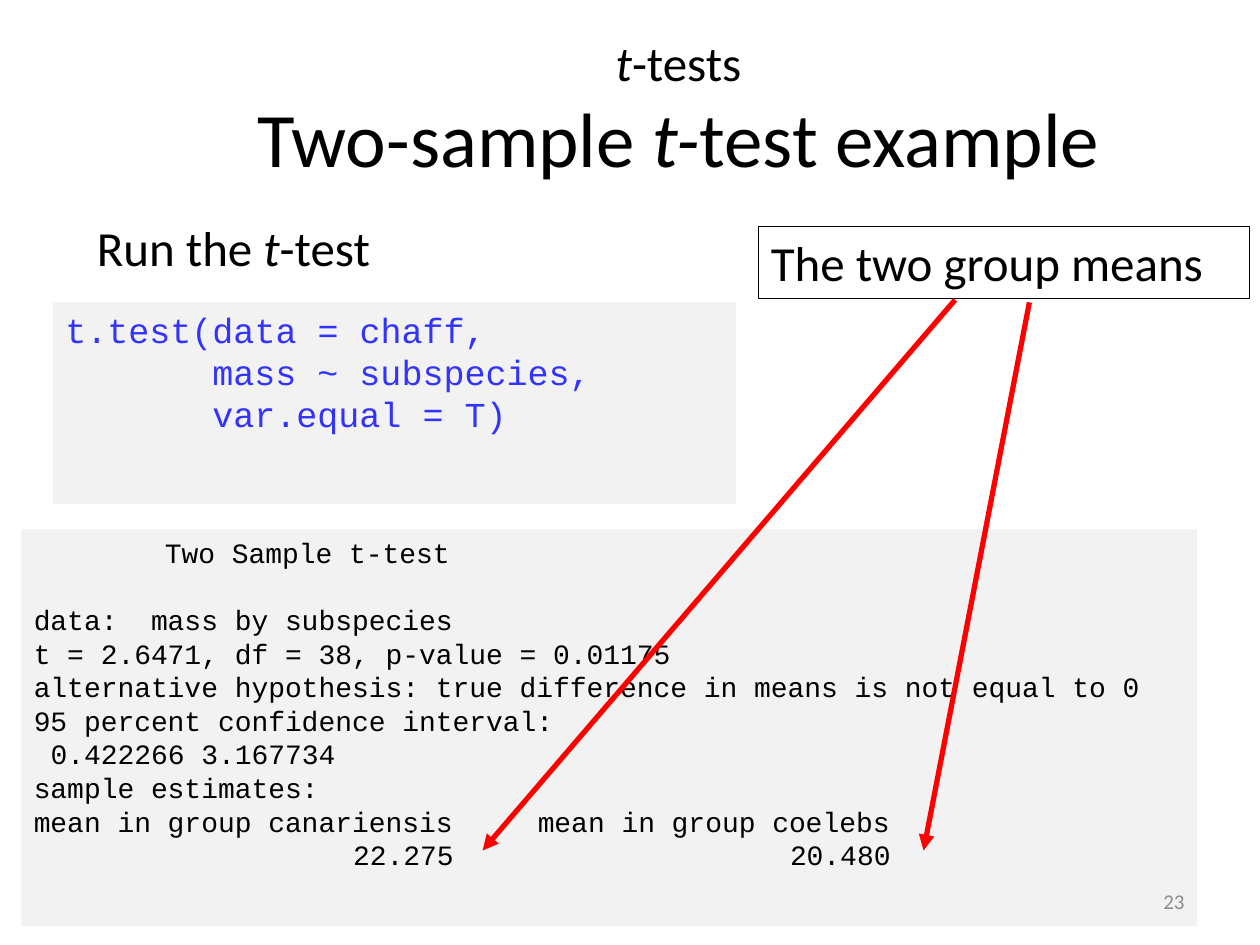
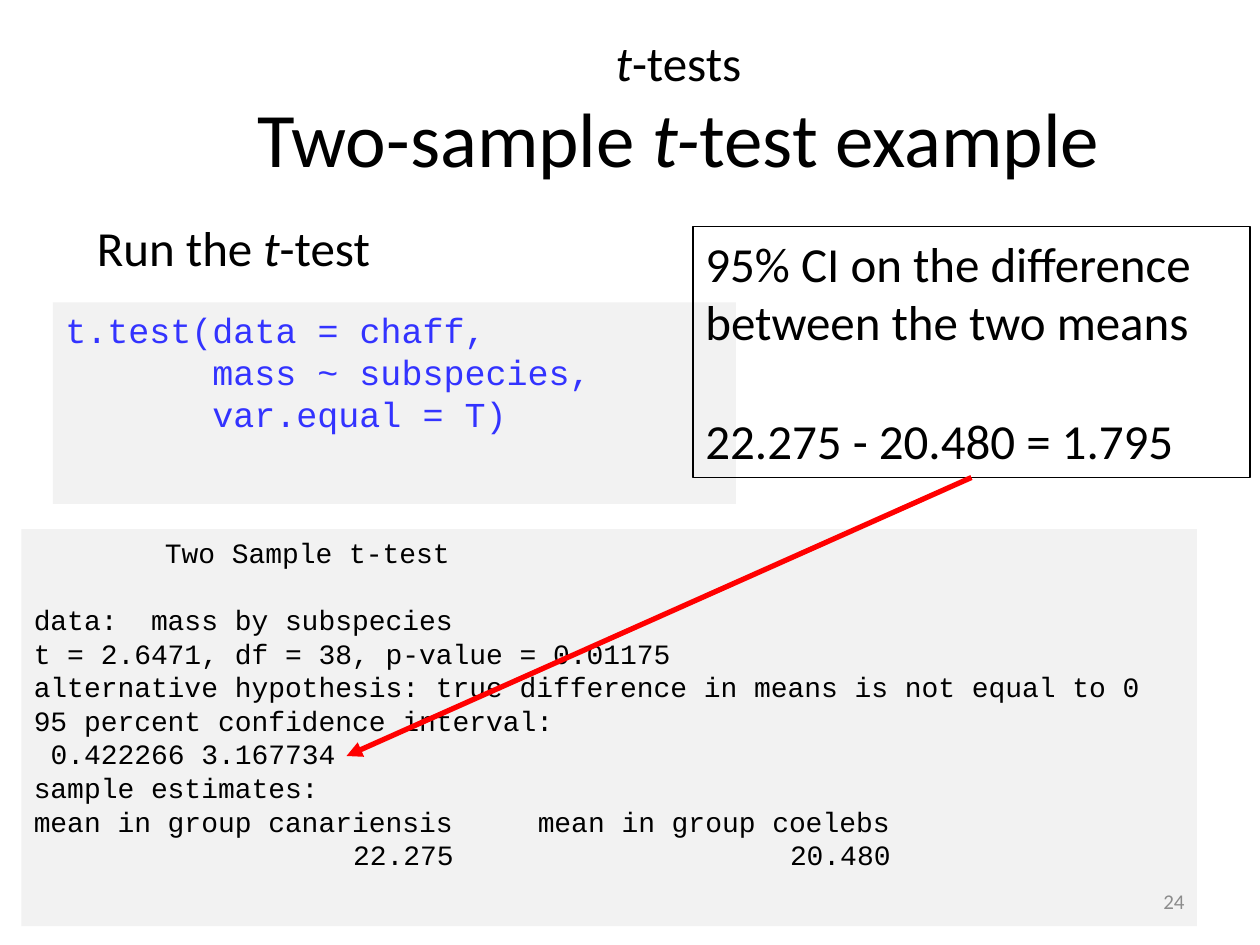
from lxml.etree import SubElement
from pptx import Presentation
from pptx.dml.color import RGBColor
from pptx.enum.shapes import MSO_CONNECTOR, MSO_SHAPE
from pptx.enum.text import MSO_ANCHOR, PP_ALIGN
from pptx.oxml.ns import qn
from pptx.util import Inches, Pt

COLOURS = {"ink": "000000", "code": "3333FF", "panel": "F2F2F2",
           "number": "8C8C8C", "arrow": "FF0000"}
BODY, MONO = "Calibri", "Courier New"
OUTPUT_SIZE, CODE_SIZE = 16, 20


def columns(count, size):
    return count * size * 0.6 / 72


class Deck:
    def __init__(self):
        self.prs = Presentation()
        self.prs.slide_width, self.prs.slide_height = Inches(10), Inches(7.5)
        self.slide = None

    def colour(self, name):
        return RGBColor.from_string(COLOURS[name])

    def new_slide(self):
        self.slide = self.prs.slides.add_slide(self.prs.slide_layouts[5])

    def run(self, paragraph, text, size, font=BODY, colour="ink", italic=False):
        run = paragraph.add_run()
        run.text = text
        run.font.size, run.font.name, run.font.italic = Pt(size), font, italic
        run.font.color.rgb = self.colour(colour)

    def title(self, lines):
        title = self.slide.shapes.title
        title.left, title.top = Inches(1.67), Inches(0.2)
        title.width, title.height = Inches(7.43), Inches(1.31)
        title.text_frame.vertical_anchor = MSO_ANCHOR.MIDDLE
        paragraph = title.text_frame.paragraphs[0]
        paragraph.alignment = PP_ALIGN.CENTER
        for index, (size, parts) in enumerate(lines):
            if index:
                paragraph.add_line_break()
            for text, italic in parts:
                self.run(paragraph, text, size, italic=italic)

    def text(self, box, parts, size, colour="ink", align=PP_ALIGN.LEFT,
             anchor=MSO_ANCHOR.TOP):
        frame = self.slide.shapes.add_textbox(*map(Inches, box)).text_frame
        frame.word_wrap = True
        frame.vertical_anchor = anchor
        frame.paragraphs[0].alignment = align
        for text, italic in parts:
            self.run(frame.paragraphs[0], text, size, colour=colour, italic=italic)

    def panel(self, box, fill=None, line=None):
        panel = self.slide.shapes.add_shape(MSO_SHAPE.RECTANGLE, *map(Inches, box))
        panel.shadow.inherit = False
        if fill:
            panel.fill.solid()
            panel.fill.fore_color.rgb = self.colour(fill)
        else:
            panel.fill.background()
        if line:
            panel.line.color.rgb = self.colour(line)
            panel.line.width = Pt(0.75)
        else:
            panel.line.fill.background()
        panel.text_frame.word_wrap = True
        panel.text_frame.vertical_anchor = MSO_ANCHOR.TOP
        return panel.text_frame

    def paragraph(self, frame, index):
        paragraph = frame.add_paragraph() if index else frame.paragraphs[0]
        paragraph.alignment = PP_ALIGN.LEFT
        return paragraph

    def console(self, box, lines, size, colour):
        frame = self.panel(box, fill="panel")
        for index, (text, indent, gap, tabs) in enumerate(lines):
            paragraph = self.paragraph(frame, index)
            paragraph.space_before = Pt(gap)
            properties = paragraph._p.get_or_add_pPr()
            properties.set("marL", str(Inches(columns(indent, size))))
            if tabs:
                stops = SubElement(properties, qn("a:tabLst"))
                for column, side in tabs:
                    SubElement(stops, qn("a:tab"), algn=side,
                               pos=str(Inches(columns(column, size))))
            self.run(paragraph, text, size, MONO, colour)

    def callout(self, box, lines):
        frame = self.panel(box, line="ink")
        for index, (text, gap) in enumerate(lines):
            paragraph = self.paragraph(frame, index)
            paragraph.space_before = Pt(gap)
            self.run(paragraph, text, 28)

    def arrow(self, start, end):
        arrow = self.slide.shapes.add_connector(
            MSO_CONNECTOR.STRAIGHT, *map(Inches, start + end))
        arrow.line.color.rgb = self.colour("arrow")
        arrow.line.width = Pt(3)
        SubElement(arrow.line._get_or_add_ln(), qn("a:tailEnd"), type="triangle")
        SubElement(arrow._element.spPr, qn("a:effectLst"))


CODE = [("t.test(data = chaff,", 0, 0, ()),
        ("mass ~ subspecies,", 7, 0, ()),
        ("var.equal = T)", 7, 0, ())]

RESULTS = [
    ("Two Sample t-test", 7.8, 0, ()),
    ("data:  mass by subspecies", 0, 19.2, ()),
    ("t = 2.6471, df = 38, p-value = 0.01175", 0, 0, ()),
    ("alternative hypothesis: true difference in means is not equal to 0", 0, 0, ()),
    ("95 percent confidence interval:", 0, 0, ()),
    ("0.422266 3.167734", 1, 0, ()),
    ("sample estimates:", 0, 0, ()),
    ("mean in group canariensis\tmean in group coelebs", 0, 0, [(30, "l")]),
    ("\t22.275\t20.480", 0, 0, [(25, "r"), (51, "r")]),
]

SLIDES = [
    (23, (6.02, 1.8, 3.9, 0.57), [("The two group means", 0)],
     [((8.17, 2.4), (7.33, 6.75)), ((7.58, 2.38), (3.83, 6.75))]),
    (24, (5.5, 1.8, 4.42, 1.99),
     [("95% CI on the difference between the two means", 0),
      ("22.275 - 20.480 = 1.795", 34)],
     [((7.71, 3.79), (2.75, 6))]),
]


def main():
    deck = Deck()
    for number, callout_box, callout_lines, arrows in SLIDES:
        deck.new_slide()
        deck.title([(28, [("t", True), ("-tests", False)]),
                    (44, [("Two-sample ", False), ("t-", True),
                          ("test example", False)])])
        deck.console((0.17, 4.2, 9.33, 3.15), RESULTS, OUTPUT_SIZE, "ink")
        deck.text((7.17, 6.95, 2.33, 0.4), [(str(number), False)], 12, "number",
                  PP_ALIGN.RIGHT, MSO_ANCHOR.MIDDLE)
        deck.text((0.67, 1.68, 9.08, 0.57),
                  [("Run the ", False), ("t", True), ("-test", False)], 28)
        deck.console((0.42, 2.4, 5.42, 1.6), CODE, CODE_SIZE, "code")
        deck.callout(callout_box, callout_lines)
        for start, end in arrows:
            deck.arrow(start, end)
    deck.prs.save("out.pptx")


if __name__ == "__main__":
    main()
